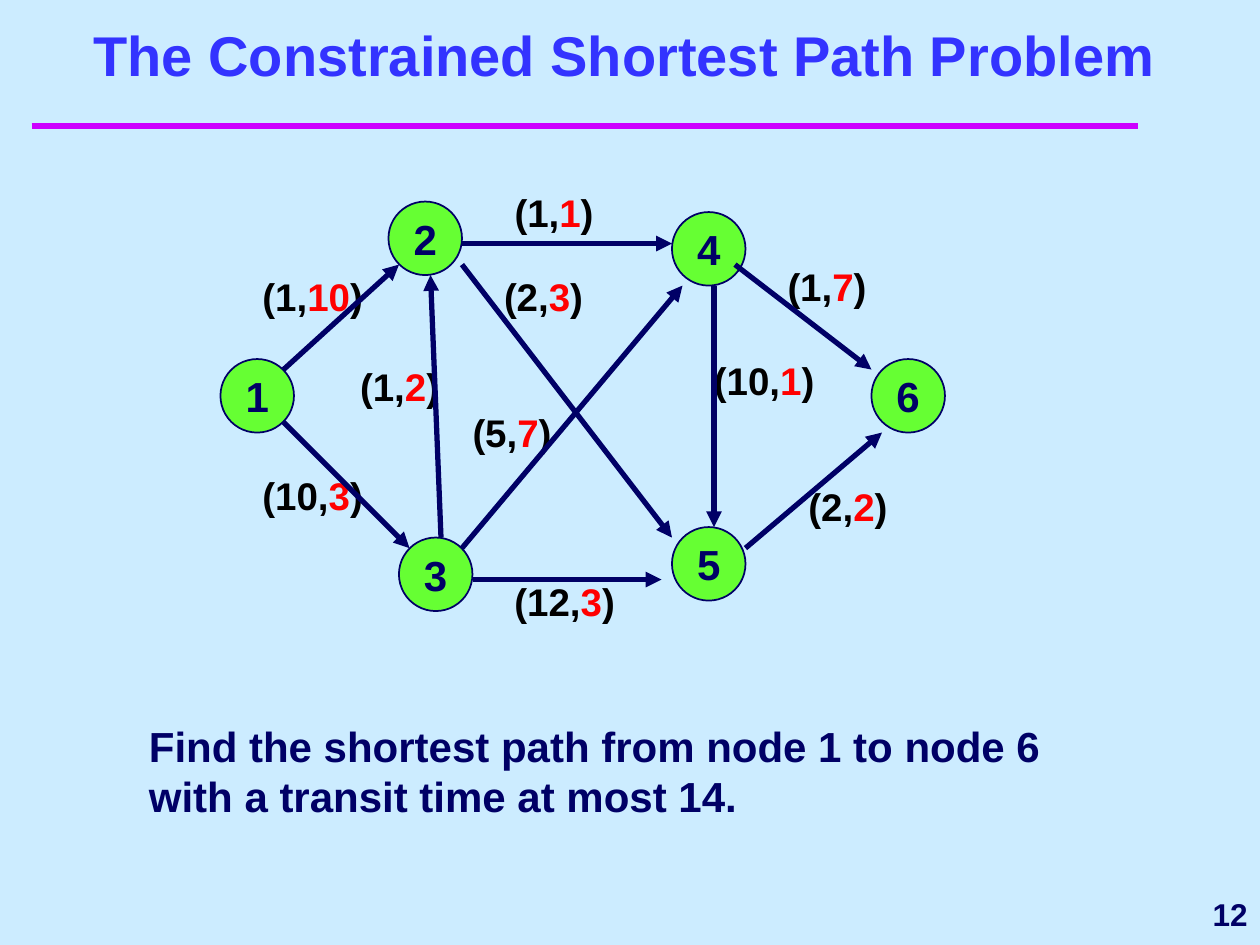
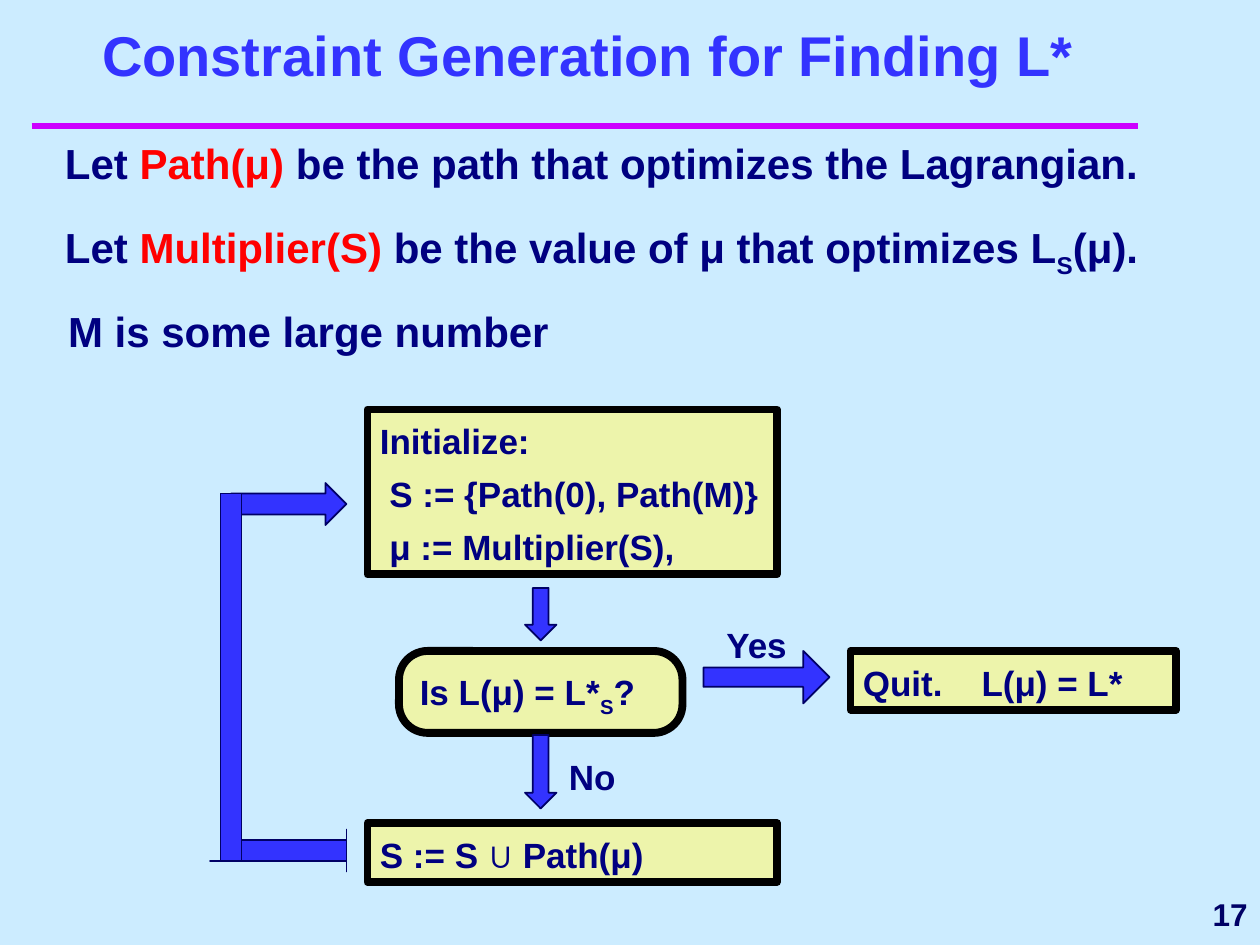
from lxml.etree import SubElement
from pptx import Presentation
from pptx.dml.color import RGBColor
from pptx.enum.shapes import MSO_CONNECTOR, MSO_SHAPE
from pptx.enum.text import MSO_ANCHOR, MSO_AUTO_SIZE, PP_ALIGN
from pptx.oxml.ns import qn
from pptx.util import Pt

PX = 7620  # EMU per px, 120 px to the inch
SKY, MAGENTA, BLUE, NAVY = "CCECFF", "CC00FF", "3333FF", "000066"
INK, RED, BLACK, GREEN, CREAM = "000080", "FF0000", "000000", "66FF33", "EDF4AB"


def write(frame, text, size=24, color=NAVY, align=PP_ALIGN.LEFT, anchor=MSO_ANCHOR.TOP,
          wrap=True, inset=(12, 6), spacing=None, before=0, indent=0, tab=None):
    """Between bars, text is red, or a subscript if it starts with an underscore."""
    frame.auto_size = MSO_AUTO_SIZE.NONE
    frame.word_wrap = wrap
    frame.vertical_anchor = anchor
    frame.margin_left = frame.margin_right = inset[0] * PX
    frame.margin_top = frame.margin_bottom = inset[1] * PX
    for row, line in enumerate(text.split("\n")):
        para = frame.add_paragraph() if row else frame.paragraphs[0]
        para.alignment = align
        if spacing:
            para.line_spacing = spacing
        properties = para._p.get_or_add_pPr()
        if row:
            para.space_before = Pt(before)
            properties.set("marL", str(indent * PX))
        if tab:
            tabs = SubElement(properties, qn("a:tabLst"))
            SubElement(tabs, qn("a:tab"), pos=str(tab * PX), algn="l")
        for index, part in enumerate(line.split("|")):
            special = index % 2 == 1
            subscript = special and part.startswith("_")
            span = para.add_run()
            span.text = part[1:] if subscript else part
            span.font.name, span.font.size, span.font.bold = "Arial", Pt(size), True
            span.font.color.rgb = RGBColor.from_string(
                RED if special and not subscript else color)
            if subscript:
                span._r.get_or_add_rPr().set("baseline", "-25000")


def style(item, color, width, fill=None):
    """Set the line of a shape or connector, the fill of a shape, and no shadow."""
    item.line.color.rgb = RGBColor.from_string(color)
    item.line.width = Pt(width)
    if fill:
        item.fill.solid()
        item.fill.fore_color.rgb = RGBColor.from_string(fill)
        item.shadow.inherit = False
    else:
        SubElement(item.element.spPr, qn("a:effectLst"))


deck = Presentation()
deck.slide_width, deck.slide_height = 1200 * PX, 900 * PX
layout = deck.slide_layouts.get_by_name("Title Only")

# Shared background, titles and page numbers
background = deck.slide_master.background.fill
background.solid()
background.fore_color.rgb = RGBColor.from_string(SKY)
pages = []
for heading, number, place in [
    ("The Constrained Shortest Path Problem", "12", (20, 40, 1150, 50)),
    ("Constraint Generation for Finding L*", "17", (50, 20, 1020, 70)),
]:
    page = deck.slides.add_slide(layout)
    pages.append(page)
    title = page.shapes.title
    title.left, title.top, title.width, title.height = [v * PX for v in place]
    write(title.text_frame, heading, size=32, color=BLUE, align=PP_ALIGN.CENTER,
          anchor=MSO_ANCHOR.BOTTOM)
    box = page.shapes.add_textbox(1010 * PX, 840 * PX, 190 * PX, 60 * PX)
    write(box.text_frame, number, size=18, align=PP_ALIGN.RIGHT, anchor=MSO_ANCHOR.MIDDLE)
network, flow = pages

# Rule under the title, moved to the layout so that both slides share it
rule = network.shapes.add_connector(
    MSO_CONNECTOR.STRAIGHT, 30 * PX, 120 * PX, 1084 * PX, 120 * PX)
style(rule, MAGENTA, 4)
layout.shapes.element.append(rule.element)

# Network: cost and transit time of each arc
for left, top, text in [
    (250, 260, "(1,|10|)"), (490, 180, "(1,|1|)"), (750, 250, "(1,|7|)"),
    (480, 260, "(2,|3|)"), (250, 450, "(10,|3|)"), (490, 550, "(12,|3|)"),
    (770, 460, "(2,|2|)"), (343, 346, "(1,|2|)"), (680, 340, "(10,|1|)"),
    (450, 390, "(5,|7|)"),
]:
    width = 76 if len(text) == 7 else 96
    box = network.shapes.add_textbox(left * PX, top * PX, width * PX, 44 * PX)
    write(box.text_frame, text, size=22, color=BLACK, wrap=False, inset=(0, 0))

# Network: nodes
for name, left, top in [
    ("1", 210, 342), ("2", 370, 192), ("4", 640, 202),
    ("5", 640, 502), ("3", 380, 512), ("6", 830, 342),
]:
    node = network.shapes.add_shape(
        MSO_SHAPE.OVAL, left * PX, top * PX, 70 * PX, 70 * PX)
    style(node, NAVY, 1, GREEN)
    write(node.text_frame, name, align=PP_ALIGN.CENTER, anchor=MSO_ANCHOR.MIDDLE, wrap=False)

# Network: arcs
for ends in [
    (270, 352, 380, 252), (440, 232, 640, 232), (440, 252, 640, 512),
    (270, 402, 390, 522), (420, 512, 410, 262), (440, 522, 650, 272),
    (450, 552, 630, 552), (710, 522, 840, 412), (700, 252, 830, 352),
    (680, 272, 680, 502),
]:
    arc = network.shapes.add_connector(MSO_CONNECTOR.STRAIGHT, *[v * PX for v in ends])
    style(arc, NAVY, 3)
    SubElement(arc.line._get_or_add_ln(), qn("a:tailEnd"), type="triangle")

box = network.shapes.add_textbox(130 * PX, 680 * PX, 930 * PX, 108 * PX)
write(box.text_frame,
      "Find the shortest path from node 1 to node 6 with a transit time at most 14.")

# Flow chart: boxes
for kind, place, text, tab in [
    (MSO_SHAPE.RECTANGLE, (350, 390, 390, 157),
     "Initialize:\nS := {Path(0), Path(M)}\nμ := Multiplier(S),", None),
    (MSO_SHAPE.ROUNDED_RECTANGLE, (380, 620, 270, 78), "Is L(μ) = L*|_S|?", None),
    (MSO_SHAPE.RECTANGLE, (350, 784, 390, 56), "S := S ∪ Path(μ)", None),
    (MSO_SHAPE.RECTANGLE, (810, 620, 310, 56), "Quit.\tL(μ) = L*", 113),
]:
    step = flow.shapes.add_shape(kind, *[v * PX for v in place])
    if kind == MSO_SHAPE.ROUNDED_RECTANGLE:
        step.adjustments[0] = 0.35
    style(step, BLACK, 4.5, CREAM)
    write(step.text_frame, text, size=20, color=INK, spacing=1.1, before=3.7,
          indent=9, tab=tab)

# Flow chart: block arrows, the last three without a wrap of their own forming the loop
for kind, place, shaft, head in [
    (MSO_SHAPE.DOWN_ARROW, (500, 560, 30, 50), 0.5, 0.5),
    (MSO_SHAPE.DOWN_ARROW, (500, 700, 30, 70), 0.5, 0.5),
    (MSO_SHAPE.RIGHT_ARROW, (670, 620, 120, 50), 0.37, 0.5),
    (MSO_SHAPE.RIGHT_ARROW, (220, 460, 110, 40), 0.5, 0.5),
    (MSO_SHAPE.RIGHT_ARROW, (220, 790, 110, 40), 0.5, 0),
    (MSO_SHAPE.DOWN_ARROW, (200, 470, 40, 350), 0.5, 0),
]:
    arrow = flow.shapes.add_shape(kind, *[v * PX for v in place])
    arrow.adjustments[0], arrow.adjustments[1] = shaft, head
    style(arrow, NAVY, 1, BLUE)

# Flow chart: definitions and branch labels
for place, text, size in [
    ((50, 120, 1110, 65), "Let |Path(μ)| be the path that optimizes the Lagrangian.", 24),
    ((50, 200, 1110, 72),
     "Let |Multiplier(S)| be the value of μ that optimizes L|_S|(μ).", 24),
    ((53, 280, 493, 65), "M is some large number", 24),
    ((680, 584, 110, 56), "Yes", 20),
    ((530, 710, 110, 56), "No", 20),
]:
    box = flow.shapes.add_textbox(*[v * PX for v in place])
    write(box.text_frame, text, size=size, color=INK, spacing=1.1)

deck.save("out.pptx")
